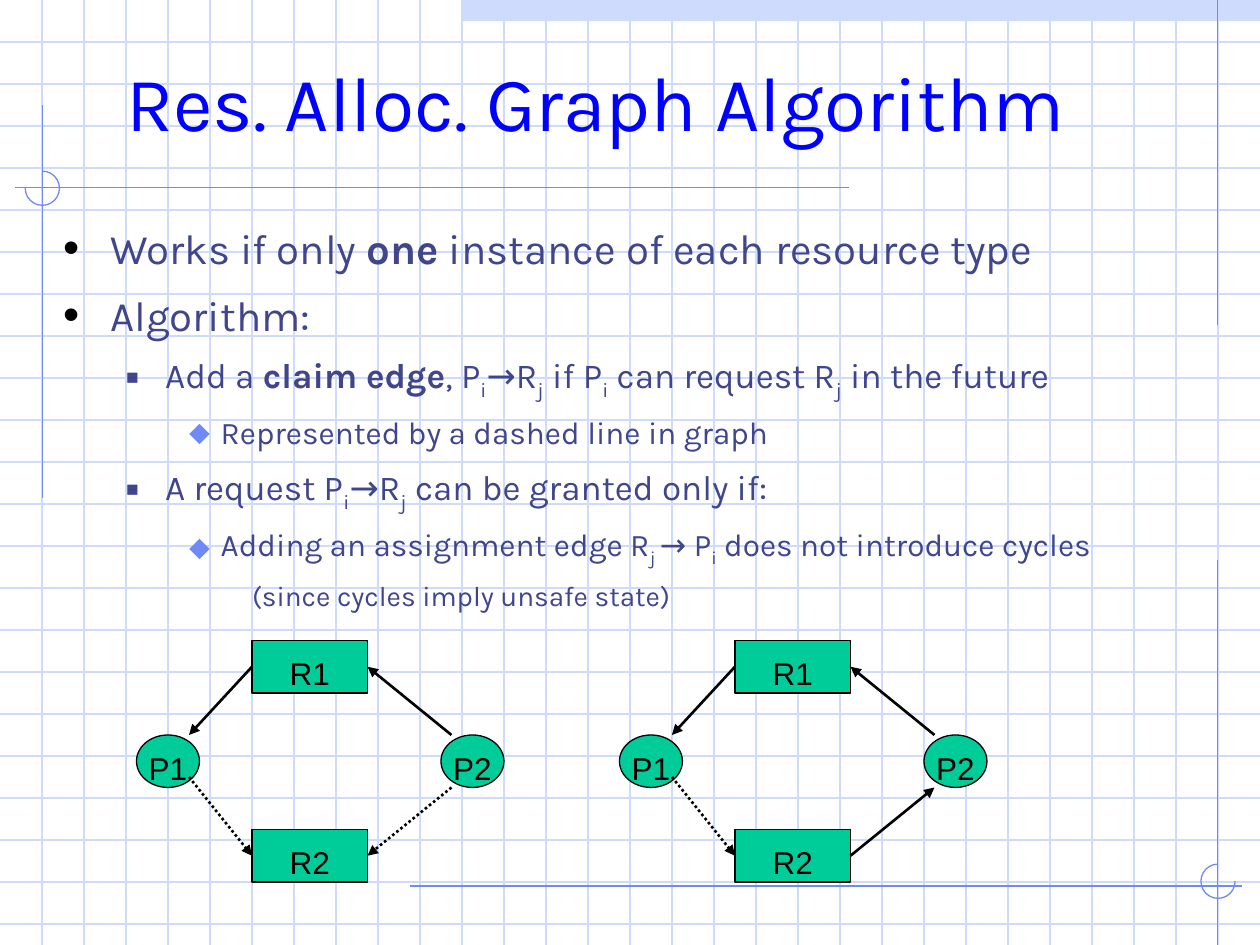
from lxml.etree import SubElement
from pptx import Presentation
from pptx.dml.color import RGBColor
from pptx.enum.dml import MSO_LINE_DASH_STYLE as Dash
from pptx.enum.shapes import MSO_CONNECTOR as Connector, MSO_SHAPE as Shape
from pptx.enum.text import MSO_ANCHOR as Anchor, MSO_AUTO_SIZE as AutoSize, PP_ALIGN as Align
from pptx.oxml.ns import qn
from pptx.util import Cm, Pt

WHITE = RGBColor(0xFF, 0xFF, 0xFF)
BLACK = RGBColor(0x00, 0x00, 0x00)
BLUE = RGBColor(0x00, 0x00, 0xFF)
INDIGO = RGBColor(0x40, 0x45, 0x8C)
ACCENT = RGBColor(0x6F, 0x89, 0xF7)
PALE = RGBColor(0xCF, 0xDB, 0xFD)
GREEN = RGBColor(0x00, 0xCC, 0x99)

WIDTH, HEIGHT = Cm(25.4), Cm(19.05)
GRID = WIDTH // 30
UNIT = GRID // 4
LEFT_SIDE, RIGHT_SIDE = 1, 3

PLAIN, BOLD, SUB = "plain", "bold", "sub"

# level: (size, space before, margin, hanging, bullet, bullet colour, bullet percent)
LEVELS = [
    (24, 8, Cm(0.95), Cm(0.95), "•", BLACK, 110),
    (20, 7, Cm(2.06), Cm(0.79), "■", INDIGO, 60),
    (18, 6, Cm(3.18), Cm(0.64), "⬥", ACCENT, 95),
    (16, 5, Cm(4.45), Cm(0.64), None, None, None),
]

POINTS = [
    (0, [("Works if only ", PLAIN), ("one", BOLD), (" instance of each resource type", PLAIN)]),
    (0, [("Algorithm:", PLAIN)]),
    (1, [("Add a ", PLAIN), ("claim edge", BOLD), (", P", PLAIN), ("i", SUB), ("→R", PLAIN),
         ("j", SUB), (" if P", PLAIN), ("i", SUB), (" can request R", PLAIN), ("j", SUB),
         (" in the future", PLAIN)]),
    (2, [("Represented by a dashed line in graph", PLAIN)]),
    (1, [("A request P", PLAIN), ("i", SUB), ("→R", PLAIN), ("j", SUB),
         (" can be granted only if:", PLAIN)]),
    (2, [("Adding an assignment edge R", PLAIN), ("j ", SUB), ("→ P", PLAIN), ("i", SUB),
         (" does not introduce cycles", PLAIN)]),
    (3, [("(since cycles imply unsafe state)", PLAIN)]),
]


def add_line(page, start, end, color, width=0.75):
    """Add a straight connector without a shadow."""
    line = page.shapes.add_connector(Connector.STRAIGHT, *start, *end)
    line.line.color.rgb = color
    line.line.width = Pt(width)
    SubElement(line.element.spPr, qn("a:effectLst"))
    return line


def add_figure(page, kind, left, top, width, height, fill=None, outline=None):
    """Add a preset shape with the given fill and outline."""
    figure = page.shapes.add_shape(kind, left, top, width, height)
    figure.shadow.inherit = False
    if fill is None:
        figure.fill.background()
    else:
        figure.fill.solid()
        figure.fill.fore_color.rgb = fill
    if outline is None:
        figure.line.fill.background()
    else:
        figure.line.color.rgb = outline
        figure.line.width = Pt(0.75)
    return figure


def add_span(para, text, font, size, color, style=PLAIN):
    """Add one formatted run to a paragraph."""
    span = para.add_run()
    span.text = text
    span.font.name = font
    span.font.size = Pt(size)
    span.font.color.rgb = color
    span.font.bold = style == BOLD
    if style == SUB:
        span._r.get_or_add_rPr().set("baseline", "-25000")


def set_bullet(para, margin, hanging, mark, color, percent):
    """Set the indent and bullet of a paragraph."""
    props = para._p.get_or_add_pPr()
    props.set("marL", str(margin))
    props.set("indent", str(-hanging))
    if mark is None:
        SubElement(props, qn("a:buNone"))
        return
    SubElement(SubElement(props, qn("a:buClr")), qn("a:srgbClr"), val=str(color))
    SubElement(props, qn("a:buSzPct"), val=str(percent * 1000))
    SubElement(props, qn("a:buFont"), typeface="Arial")
    SubElement(props, qn("a:buChar"), char=mark)


def place_frame(holder, left, top, width, height, anchor):
    """Move a placeholder to the front and return its text frame without insets."""
    holder.left, holder.top, holder.width, holder.height = left, top, width, height
    holder.element.getparent().append(holder.element)
    frame = holder.text_frame
    frame.margin_left = frame.margin_right = frame.margin_top = frame.margin_bottom = 0
    frame.word_wrap = True
    frame.auto_size = AutoSize.NONE
    frame.vertical_anchor = anchor
    return frame


def add_backdrop(page):
    """Draw the squared paper, the top band and the accent lines."""
    add_figure(page, Shape.RECTANGLE, 11 * GRID, 0, 19 * GRID, Cm(0.43), PALE)
    for y in range(GRID, HEIGHT, GRID):
        add_line(page, (0, y), (WIDTH, y), PALE)
    for x in range(GRID, WIDTH, GRID):
        add_line(page, (x, 0), (x, HEIGHT), PALE)
    for x1, y1, x2, y2 in [
        (24.54, 0, 24.54, 6.55),
        (0.86, 2.11, 0.86, 10.03),
        (0.3, 3.78, 17.12, 3.78),
        (8.26, 17.86, 25.04, 17.86),
        (24.54, 11.28, 24.54, 19.05),
    ]:
        add_line(page, (Cm(x1), Cm(y1)), (Cm(x2), Cm(y2)), ACCENT)
    for left, top, start, end in [(0.51, 3.45, 270, 180), (24.21, 17.42, 0, 270)]:
        arc = add_figure(page, Shape.ARC, Cm(left), Cm(top), Cm(0.69), Cm(0.69), outline=ACCENT)
        arc.adjustments[0] = start * 0.6
        arc.adjustments[1] = end * 0.6


def add_title(page):
    """Fill the title placeholder."""
    frame = place_frame(page.shapes.title, Cm(2.54), 0, Cm(21.59), Cm(3.99), Anchor.MIDDLE)
    para = frame.paragraphs[0]
    para.alignment = Align.LEFT
    para.line_spacing = 1.04
    add_span(para, "Res. Alloc. Graph Algorithm", "Karla", 44, BLUE)


def add_points(page):
    """Fill the body placeholder with the list."""
    frame = place_frame(page.placeholders[1], Cm(1.27), Cm(4.45), Cm(22.86), Cm(12.57), Anchor.TOP)
    for index, (level, spans) in enumerate(POINTS):
        size, before, *bullet = LEVELS[level]
        para = frame.add_paragraph() if index else frame.paragraphs[0]
        para.level = level
        para.line_spacing = 1.04
        para.space_before = Pt(before)
        set_bullet(para, *bullet)
        for text, style in spans:
            add_span(para, text, "Karla", size, INDIGO, style)


def add_node(page, name, kind, column, row, columns):
    """Add a labelled graph node placed in diagram units."""
    node = add_figure(page, kind, column * UNIT, row * UNIT, columns * UNIT, 5 * UNIT, GREEN, BLACK)
    frame = node.text_frame
    frame.word_wrap = False
    frame.vertical_anchor = Anchor.MIDDLE
    para = frame.paragraphs[0]
    para.alignment = Align.CENTER
    para.line_spacing = 1.34
    add_span(para, name, "Arial", 18, BLACK)
    return node


def add_edge(page, start, end, claim=False):
    """Add an arrow between nodes; each end is a point or a node with its side."""
    points = [(0, 0) if hasattr(spot[0], "shape_id") else (spot[0] * UNIT, spot[1] * UNIT)
              for spot in (start, end)]
    edge = add_line(page, *points, BLACK, 1.5)
    for spot, join in ((start, edge.begin_connect), (end, edge.end_connect)):
        if hasattr(spot[0], "shape_id"):
            join(*spot)
    if claim:
        edge.line.dash_style = Dash.ROUND_DOT
    SubElement(edge.line._get_or_add_ln(), qn("a:tailEnd"), type="triangle")


def add_graph(page, shift, granted):
    """Draw one allocation graph, with R2 granted to P2 or only claimed by it."""
    r1 = add_node(page, "R1", Shape.RECTANGLE, 24 + shift, 61, 11)
    add_node(page, "P1", Shape.OVAL, 13 + shift, 70, 6)
    add_node(page, "P2", Shape.OVAL, 42 + shift, 70, 6)
    r2 = add_node(page, "R2", Shape.RECTANGLE, 24 + shift, 79, 11)
    add_edge(page, (r1, LEFT_SIDE), (18 + shift, 70))
    add_edge(page, (43 + shift, 70), (r1, RIGHT_SIDE))
    add_edge(page, (18 + shift, 74), (r2, LEFT_SIDE), claim=True)
    ends = [(43 + shift, 75), (r2, RIGHT_SIDE)]
    if granted:
        ends.reverse()
    add_edge(page, *ends, claim=not granted)


def main():
    """Build the slide and save it."""
    deck = Presentation()
    deck.slide_width, deck.slide_height = WIDTH, HEIGHT
    page = deck.slides.add_slide(deck.slide_layouts[1])
    page.background.fill.solid()
    page.background.fill.fore_color.rgb = WHITE
    add_backdrop(page)
    add_title(page)
    add_points(page)
    add_graph(page, 0, granted=False)
    add_graph(page, 46, granted=True)
    deck.save("out.pptx")


if __name__ == "__main__":
    main()
